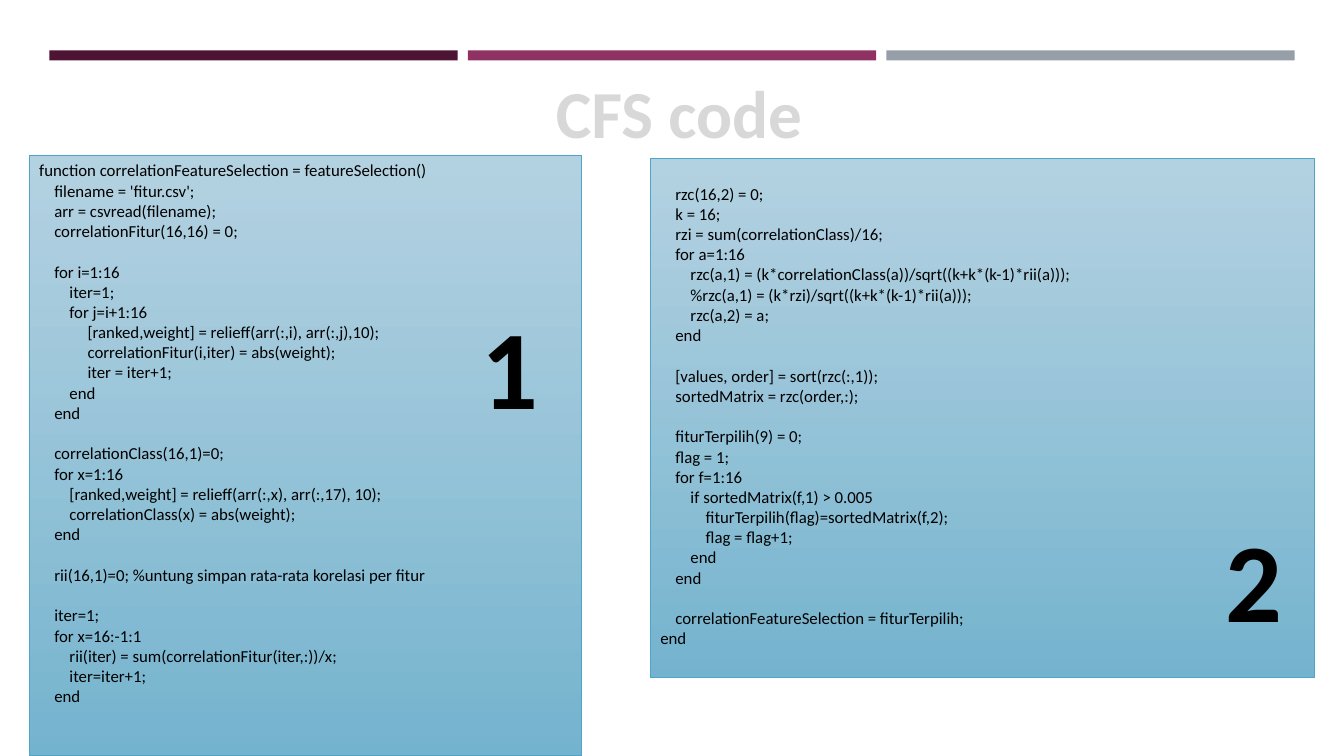
from dataclasses import dataclass

from lxml.etree import SubElement
from pptx import Presentation
from pptx.dml.color import RGBColor as RGB
from pptx.enum.shapes import MSO_SHAPE as SHAPE
from pptx.enum.text import MSO_ANCHOR as ANCHOR, MSO_AUTO_SIZE as AUTO_SIZE, PP_ALIGN as ALIGN
from pptx.oxml import parse_xml
from pptx.oxml.ns import nsdecls, qn
from pptx.util import Pt

PX = 9144  # 100 px to the inch


@dataclass(frozen=True)
class Theme:
    font: str = "Calibri"
    bars: tuple = ("4D1434", "903163", "969FA7")
    panel_top: str = "ACCEDF"
    panel_bottom: str = "75B4CF"
    panel_line: str = "4FA5C7"
    text: str = "000000"
    title: str = "D8D8D8"
    title_hatch: str = "3D3D3D"
    title_outline: str = "2E2E2E"
    code_size: int = 12
    code_line: float = 14.65
    title_size: int = 48
    number_size: int = 80


theme = Theme()

FIRST_PART = """\
function correlationFeatureSelection = featureSelection()
    filename = 'fitur.csv';
    arr = csvread(filename);
    correlationFitur(16,16) = 0;

    for i=1:16
        iter=1;
        for j=i+1:16
             [ranked,weight] = relieff(arr(:,i), arr(:,j),10);
             correlationFitur(i,iter) = abs(weight);
             iter = iter+1;
        end
    end

    correlationClass(16,1)=0;
    for x=1:16
        [ranked,weight] = relieff(arr(:,x), arr(:,17), 10);
        correlationClass(x) = abs(weight);
    end

    rii(16,1)=0; %untung simpan rata-rata korelasi per fitur

    iter=1;
    for x=16:-1:1
        rii(iter) = sum(correlationFitur(iter,:))/x;
        iter=iter+1;
    end"""

SECOND_PART = """\
    rzc(16,2) = 0;
    k = 16;
    rzi = sum(correlationClass)/16;
    for a=1:16
        rzc(a,1) = (k*correlationClass(a))/sqrt((k+k*(k-1)*rii(a)));
        %rzc(a,1) = (k*rzi)/sqrt((k+k*(k-1)*rii(a)));
        rzc(a,2) = a;
    end

    [values, order] = sort(rzc(:,1));
    sortedMatrix = rzc(order,:);

    fiturTerpilih(9) = 0;
    flag = 1;
    for f=1:16
        if sortedMatrix(f,1) > 0.005
            fiturTerpilih(flag)=sortedMatrix(f,2);
            flag = flag+1;
        end
    end

    correlationFeatureSelection = fiturTerpilih;
end"""


def add_rectangle(left, top, width, height):
    shape = slide.shapes.add_shape(
        SHAPE.RECTANGLE, left * PX, top * PX, width * PX, height * PX)
    shape.shadow.inherit = False
    return shape


def add_label(text, left, top, width, height, size):
    """Add a bold, unwrapped one-line text box and return its paragraph."""
    box = slide.shapes.add_textbox(left * PX, top * PX, width * PX, height * PX)
    frame = box.text_frame
    frame.text = text
    frame.word_wrap = False
    frame.auto_size = AUTO_SIZE.SHAPE_TO_FIT_TEXT
    paragraph = frame.paragraphs[0]
    font = paragraph.runs[0].font
    font.name, font.size, font.bold = theme.font, Pt(size), True
    font.color.rgb = RGB.from_string(theme.text)
    return paragraph


presentation = Presentation()
presentation.slide_width = 1333 * PX
presentation.slide_height = 750 * PX
slide = presentation.slides.add_slide(presentation.slide_layouts[6])

# Header bars
for index, color in enumerate(theme.bars):
    bar = add_rectangle(49 + 415 * index, 50, 405, 10)
    bar.fill.solid()
    bar.fill.fore_color.rgb = RGB.from_string(color)
    bar.line.fill.background()

# Title with hatched, outlined letters
title = add_label("CFS code", 509, 66, 329, 94, theme.title_size)
title.alignment = ALIGN.CENTER
title_properties = title.runs[0].font._element
title_properties.remove(title_properties.find(qn("a:solidFill")))
title_properties.insert(0, parse_xml(
    f'<a:ln {nsdecls("a")} w="12700"><a:solidFill>'
    f'<a:srgbClr val="{theme.title_outline}"/></a:solidFill></a:ln>'))
title_properties.insert(1, parse_xml(
    f'<a:pattFill {nsdecls("a")} prst="dkUpDiag">'
    f'<a:fgClr><a:srgbClr val="{theme.title_hatch}"/></a:fgClr>'
    f'<a:bgClr><a:srgbClr val="{theme.title}"/></a:bgClr></a:pattFill>'))

# Code panels: bounds, top inset, code
panels = [
    ((29, 154, 548, 596), 5, FIRST_PART),
    ((645, 157, 659, 515), 25, SECOND_PART),
]
for bounds, top_inset, code in panels:
    panel = add_rectangle(*bounds)
    panel.fill.gradient()
    panel.fill.gradient_angle = 270
    for stop, color in zip(panel.fill.gradient_stops, (theme.panel_top, theme.panel_bottom)):
        stop.color.rgb = RGB.from_string(color)
        stop.position = 0 if color == theme.panel_top else 1
    top_color = panel._element.spPr.find(".//" + qn("a:srgbClr"))
    SubElement(top_color, qn("a:alpha"), val="90000")
    panel.line.color.rgb = RGB.from_string(theme.panel_line)
    panel.line.width = Pt(1)

    frame = panel.text_frame
    frame.word_wrap = True
    frame.vertical_anchor = ANCHOR.TOP
    frame.margin_top = top_inset * PX
    lines = code.splitlines()
    frame.text = "\n".join(line.strip() for line in lines if line)
    paragraphs = iter(frame.paragraphs)
    gap = 0
    for line in lines:
        if not line:
            gap = theme.code_line
            continue
        paragraph = next(paragraphs)
        paragraph.alignment = ALIGN.LEFT
        paragraph.space_before = Pt(gap)
        gap = 0
        spaces = len(line) - len(line.lstrip())
        paragraph._p.get_or_add_pPr().set("marL", str(spaces * 15 // 4 * PX))
        font = paragraph.runs[0].font
        font.name, font.size = theme.font, Pt(theme.code_size)
        font.color.rgb = RGB.from_string(theme.text)

# Panel numbers
for number, left, top in (("1", 468, 290), ("2", 1206, 502)):
    add_label(number, left, top, 82, 145, theme.number_size)

presentation.save("out.pptx")
